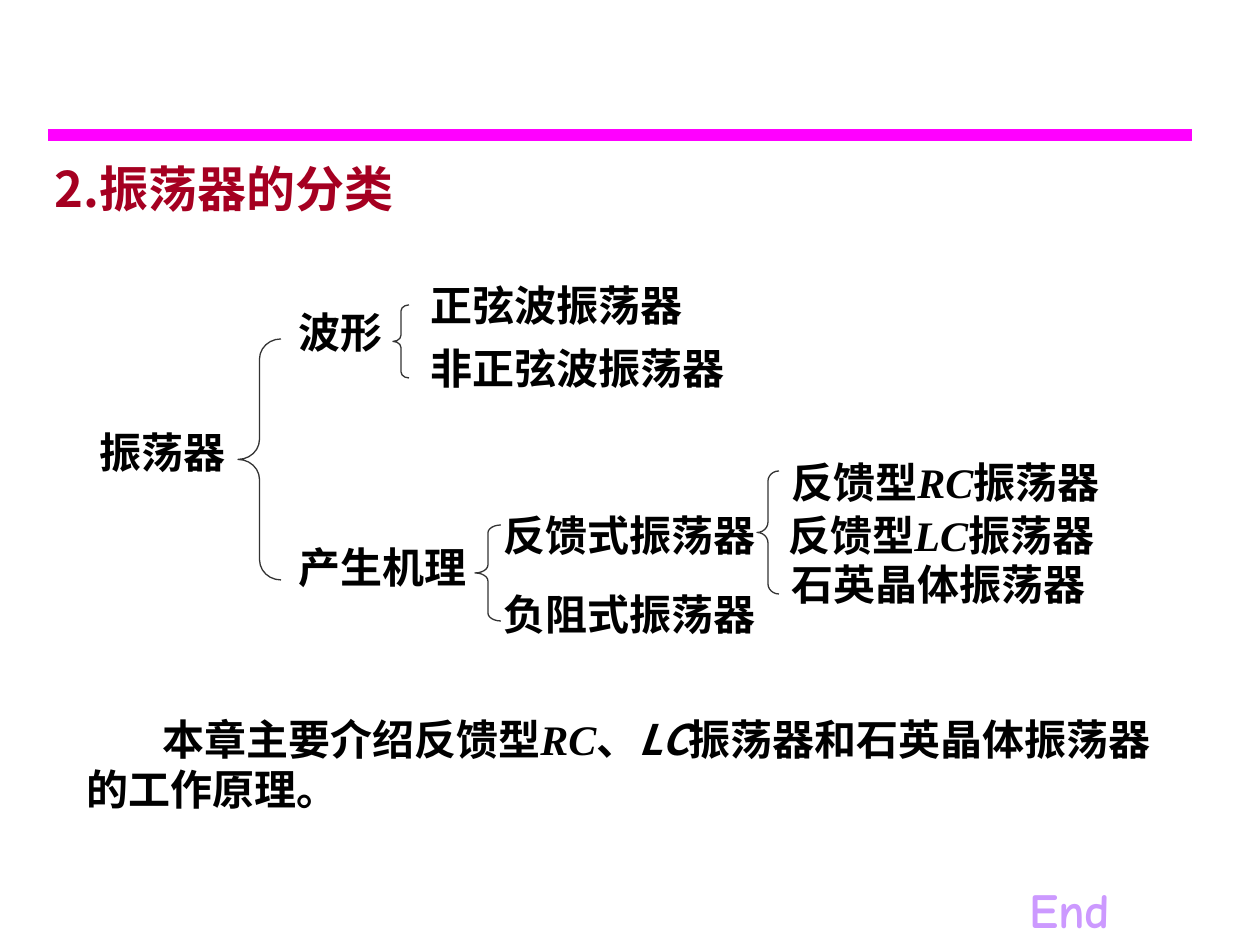
import pptx
import pptx.dml.color
import pptx.enum.shapes
import pptx.enum.text
import pptx.oxml
import pptx.oxml.ns
import pptx.util
from lxml import etree

PX_PER_INCH = 126
SERIF = "Times New Roman"
SANS = "Noto Sans CJK SC"
ROUND = "Comic Neue"


def px(length):
    return pptx.util.Emu(round(length * 914400 / PX_PER_INCH))


def colour(value):
    return pptx.dml.color.RGBColor.from_string(value)


def apply(target, values):
    for key, value in values.items():
        setattr(target, key, value)


class Outline:
    ink = "000000"
    brace_ink = "333333"
    label_height = 63

    def __init__(self, slide):
        self.slide = slide

    def fill_text(self, shape, runs, size=24, face=SERIF, ink=ink, indent=0):
        frame = shape.text_frame
        apply(frame, {
            "word_wrap": True,
            "auto_size": pptx.enum.text.MSO_AUTO_SIZE.NONE,
            "vertical_anchor": pptx.enum.text.MSO_ANCHOR.TOP,
        })
        paragraph = frame.paragraphs[0]
        paragraph.alignment = pptx.enum.text.PP_ALIGN.LEFT
        if indent:
            paragraph._p.get_or_add_pPr().set("indent", str(px(indent)))
        for wording, changes in runs:
            run = paragraph.add_run()
            run.text = wording
            apply(run.font, {"size": pptx.util.Pt(size), "bold": True, "name": face, **changes})
            run.font.color.rgb = colour(ink)
            east_asian = etree.SubElement(run.font._element, pptx.oxml.ns.qn("a:ea"))
            east_asian.set("typeface", SANS)

    def title(self, wording, left, top, width, height, **style):
        heading = self.slide.shapes.title
        apply(heading, {"left": px(left), "top": px(top), "width": px(width), "height": px(height)})
        self.fill_text(heading, [(wording, {})], **style)

    def text(self, runs, left, top, width, height=label_height, **style):
        box = self.slide.shapes.add_textbox(px(left), px(top), px(width), px(height))
        self.fill_text(box, runs, **style)

    def brace(self, left, top, width, height):
        brace = self.slide.shapes.add_shape(
            pptx.enum.shapes.MSO_SHAPE.LEFT_BRACE, px(left), px(top), px(width), px(height))
        brace.shadow.inherit = False
        brace.fill.background()
        brace.line.color.rgb = colour(self.brace_ink)
        brace.line.width = pptx.util.Pt(0.75)
        brace.adjustments[0] = height / (12 * width)

    def rule(self, left, right, y, ink, weight):
        rule = self.slide.shapes.add_connector(
            pptx.enum.shapes.MSO_CONNECTOR.STRAIGHT, px(left), px(y), px(right), px(y))
        rule.line.color.rgb = colour(ink)
        rule.line.width = pptx.util.Pt(weight)
        etree.SubElement(rule._element.spPr, pptx.oxml.ns.qn("a:effectLst"))


def main():
    presentation = pptx.Presentation()
    apply(presentation, {"slide_width": px(1260), "slide_height": px(945)})
    outline = Outline(presentation.slides.add_slide(presentation.slide_layouts[5]))

    outline.rule(48, 1192, 135, "FF00FF", 7)
    outline.title("2.振荡器的分类", 42, 152, 441, 72, size=28, face=SANS, ink="A50021")

    plain, italic = {}, {"italic": True}
    categories = [
        ("振荡器", 87, 420, 189),
        ("波形", 286, 300, 155),
        ("产生机理", 286, 535, 228),
        ("正弦波振荡器", 418, 273, 338),
        ("非正弦波振荡器", 418, 336, 381),
        ("反馈式振荡器", 491, 503, 329),
        ("负阻式振荡器", 491, 582, 329),
        ("石英晶体振荡器", 779, 552, 388),
    ]
    for wording, left, top, width in categories:
        outline.text([(wording, plain)], left, top, width)

    for circuit, left, top in [("RC", 779, 450), ("LC", 776, 503)]:
        outline.text([("反馈型", plain), (circuit, italic), ("振荡器", plain)], left, top, 370)

    for bounds in [(238, 339, 43, 241), (393, 305, 16, 73), (475, 525, 26, 96), (757, 471, 22, 123)]:
        outline.brace(*bounds)

    outline.text([
        ("本章主要介绍反馈型", plain),
        ("RC", italic),
        ("、", plain),
        ("LC", {"italic": True, "name": SANS}),
        ("振荡器和石英晶体振荡器的工作原理。", plain),
    ], 74, 707, 1103, 113, indent=76)
    outline.text([("End", plain)], 1017, 873, 142, 72, size=28, face=ROUND, ink="CC99FF")

    presentation.save("out.pptx")


if __name__ == "__main__":
    main()
